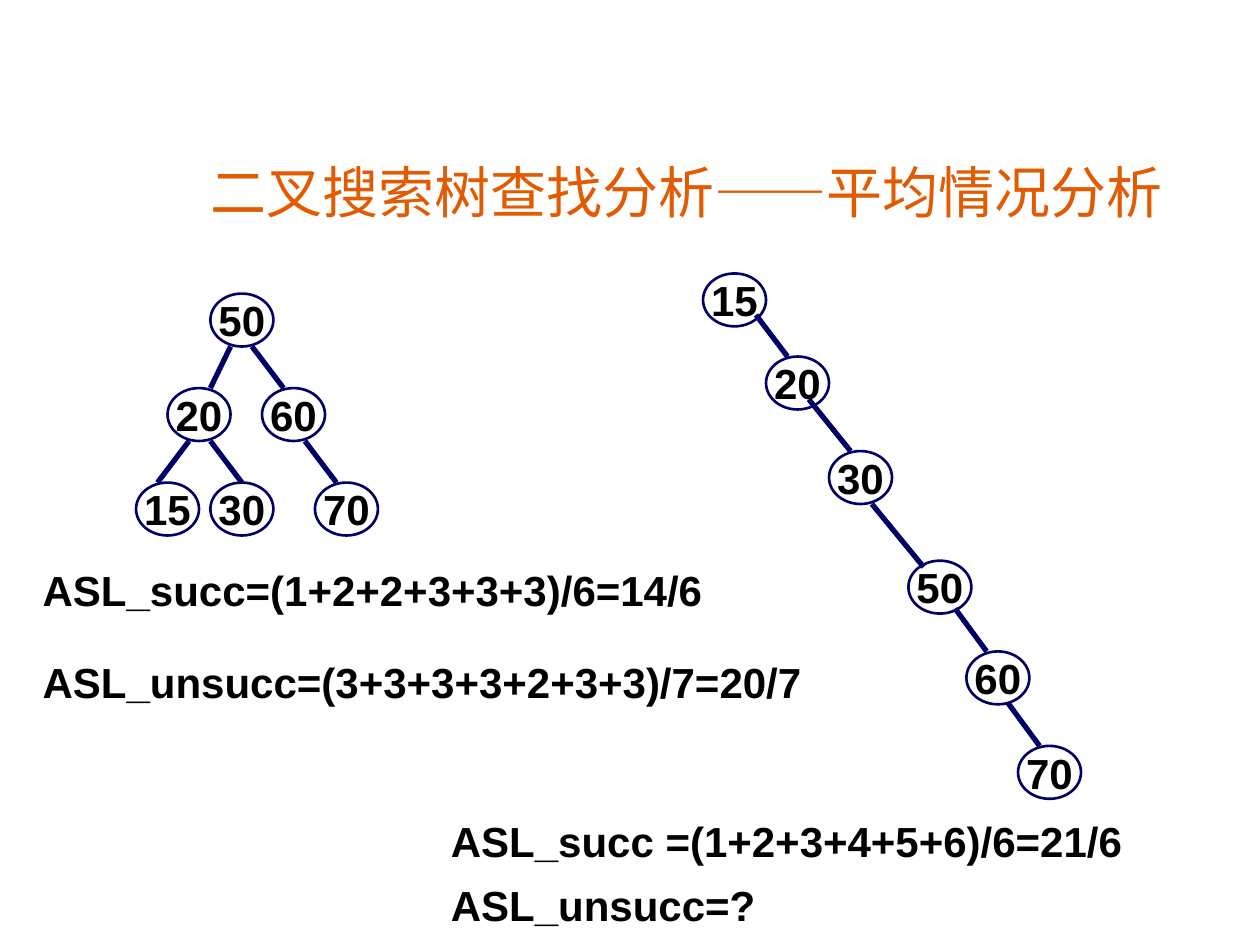
import pptx
import pptx.util
import pptx.dml.color
import pptx.enum.shapes
import pptx.enum.text
import pptx.oxml.ns
import lxml.etree
from dataclasses import dataclass
from typing import Any

Inches = pptx.util.Inches
Align = pptx.enum.text.PP_ALIGN
Anchor = pptx.enum.text.MSO_ANCHOR
NAVY, BLACK, ORANGE = "000066", "000000", "E25B00"
NODE_W, NODE_H = 0.5, 0.42


@dataclass
class Node:
    key: int
    left: float
    top: float


@dataclass
class Edge:
    x1: float
    y1: float
    x2: float
    y2: float


@dataclass
class Note:
    text: str
    left: float
    top: float
    width: float


def color(code: str) -> pptx.dml.color.RGBColor:
    return pptx.dml.color.RGBColor.from_string(code)


def write(frame: Any, text: str, *, size: int = 24, font: str = "Arial",
          fill: str = BLACK, bold: bool = True, align: Any = Align.LEFT,
          anchor: Any = Anchor.TOP, wrap: bool = True) -> None:
    frame.word_wrap = wrap
    frame.vertical_anchor = anchor
    frame.margin_left = frame.margin_right = Inches(0.1)
    frame.margin_top = frame.margin_bottom = Inches(0.05)
    para = frame.paragraphs[0]
    para.alignment = align
    run = para.add_run()
    run.text = text
    run.font.size = pptx.util.Pt(size)
    run.font.name = font
    run.font.bold = bold
    run.font.color.rgb = color(fill)
    # East Asian glyphs take their own typeface entry
    east = lxml.etree.SubElement(run.font._element, pptx.oxml.ns.qn("a:ea"))
    east.set("typeface", font)


def draw_node(shapes: Any, node: Node) -> None:
    oval = shapes.add_shape(
        pptx.enum.shapes.MSO_SHAPE.OVAL, Inches(node.left), Inches(node.top),
        Inches(NODE_W), Inches(NODE_H))
    oval.shadow.inherit = False
    oval.fill.background()
    oval.line.color.rgb = color(NAVY)
    oval.line.width = pptx.util.Pt(1.5)
    write(oval.text_frame, str(node.key), align=Align.CENTER,
          anchor=Anchor.MIDDLE, wrap=False)


def draw_edge(shapes: Any, edge: Edge) -> None:
    line = shapes.add_connector(
        pptx.enum.shapes.MSO_CONNECTOR.STRAIGHT, Inches(edge.x1),
        Inches(edge.y1), Inches(edge.x2), Inches(edge.y2))
    line.line.color.rgb = color(NAVY)
    line.line.width = pptx.util.Pt(3)
    lxml.etree.SubElement(line._element.spPr, pptx.oxml.ns.qn("a:effectLst"))


def draw_tree(shapes: Any, nodes: list[Node], edges: list[Edge]) -> None:
    for node in nodes:
        draw_node(shapes, node)
    for edge in edges:
        draw_edge(shapes, edge)


def draw_note(shapes: Any, note: Note) -> None:
    box = shapes.add_textbox(Inches(note.left), Inches(note.top),
                             Inches(note.width), Inches(0.5))
    write(box.text_frame, note.text)


# Balanced tree: three even levels
ROWS = [2.33 + 0.75 * level for level in range(3)]
FULL = [
    Node(50, 1.67, ROWS[0]),
    Node(20, 1.33, ROWS[1]), Node(60, 2.08, ROWS[1]),
    Node(15, 1.08, ROWS[2]), Node(30, 1.67, ROWS[2]), Node(70, 2.5, ROWS[2]),
]
FULL_EDGES = [
    Edge(x1, ROWS[row] + NODE_H, x2, ROWS[row + 1])
    for row, x1, x2 in [(0, 1.83, 1.67), (0, 2, 2.25), (1, 1.5, 1.25),
                        (1, 1.67, 1.92), (1, 2.42, 2.67)]
]

# Degenerate tree: one long chain
CHAIN = [
    Node(15, 5.58, 2.17), Node(20, 6.08, 2.83), Node(30, 6.58, 3.58),
    Node(50, 7.21, 4.45), Node(60, 7.67, 5.17), Node(70, 8.08, 5.92),
]
CHAIN_EDGES = [
    Edge(6, 2.5, 6.25, 2.83), Edge(6.42, 3.17, 6.75, 3.58),
    Edge(6.92, 4, 7.33, 4.5), Edge(7.58, 4.83, 7.83, 5.17),
    Edge(8, 5.58, 8.25, 5.92),
]

# Average search lengths
NOTES = [
    Note("ASL_succ=(1+2+2+3+3+3)/6=14/6", 0.24, 4.43, 5.51),
    Note("ASL_unsucc=(3+3+3+3+2+3+3)/7=20/7", 0.24, 5.16, 6.25),
    Note("ASL_succ =(1+2+3+4+5+6)/6=21/6", 3.48, 6.42, 5.59),
    Note("ASL_unsucc=?", 3.48, 6.93, 5.59),
]


def main() -> None:
    deck = pptx.Presentation()
    deck.slide_width, deck.slide_height = Inches(10), Inches(7.5)
    slide = deck.slides.add_slide(deck.slide_layouts[5])

    # Title
    title = slide.shapes.title
    title.left, title.top = Inches(0.9), Inches(1.15)
    title.width, title.height = Inches(9.1), Inches(0.74)
    write(title.text_frame, "二叉搜索树查找分析——平均情况分析", size=32,
          font="Noto Sans CJK SC", fill=ORANGE, bold=False,
          align=Align.CENTER, anchor=Anchor.MIDDLE)

    # Trees, the chain as one group
    draw_tree(slide.shapes, FULL, FULL_EDGES)
    draw_tree(slide.shapes.add_group_shape().shapes, CHAIN, CHAIN_EDGES)

    # Formulas
    for note in NOTES:
        draw_note(slide.shapes, note)
    deck.save("out.pptx")


if __name__ == "__main__":
    main()
